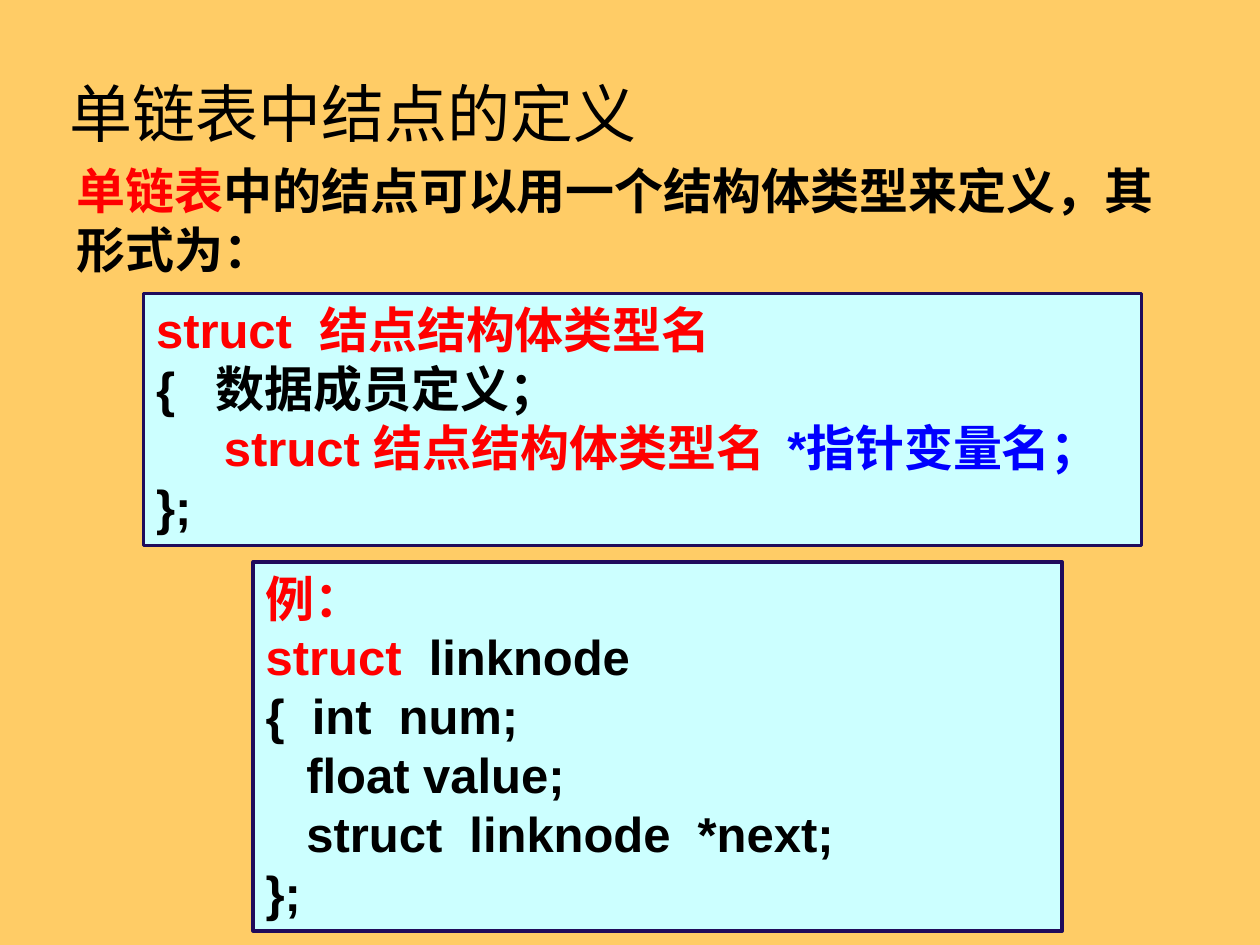
from lxml import etree
from pptx import Presentation
from pptx.dml.color import RGBColor
from pptx.enum.shapes import MSO_SHAPE
from pptx.enum.text import MSO_ANCHOR, PP_ALIGN
from pptx.oxml.ns import qn
from pptx.util import Inches, Pt

RECTANGLE = MSO_SHAPE.RECTANGLE
TOP, MIDDLE = MSO_ANCHOR.TOP, MSO_ANCHOR.MIDDLE
LEFT = PP_ALIGN.LEFT

THEME = {
    "background": "FFCC66", "panel": "CCFFFF", "border": "200B5B",
    "black": "000000", "red": "FF0000", "blue": "0000FF",
    "title_size": 36, "body_size": 28, "border_width": 2,
    "latin": "Arial", "chinese": "Noto Sans CJK SC",
}

# Each line is a list of (text, colour) parts.
TITLE = [[("单链表中结点的定义", "black")]]
INTRODUCTION = [[("单链表", "red"),
                 ("中的结点可以用一个结构体类型来定义，其形式为：", "black")]]
GENERAL_FORM = [
    [("struct  结点结构体类型名", "red")],
    [("{   数据成员定义；", "black")],
    [("     struct 结点结构体类型名  ", "red"), ("*指针变量名；", "blue")],
    [("};", "black")],
]
EXAMPLE = [
    [("例：", "red")],
    [("struct  ", "red"), ("linknode", "black")],
    [("{  int  num;", "black")],
    [("   float value;", "black")],
    [("   struct  linknode  *next;", "black")],
    [("};", "black")],
]

# Left, top, width, height in inches
TITLE_BOX = (0.45, 0.53, 9, 0.72)
INTRODUCTION_BOX = (0.51, 1.23, 9.08, 1.03)
CODE_PANELS = [
    ((1.14, 2.33, 7.92, 2), GENERAL_FORM),
    ((2.01, 4.46, 6.42, 2.93), EXAMPLE),
]


def color(name):
    return RGBColor.from_string(THEME[name])


def write_lines(shape, lines, size="body_size", font="latin", bold=True, anchor=MIDDLE):
    frame = shape.text_frame
    frame.word_wrap = True
    frame.vertical_anchor = anchor
    for index, parts in enumerate(lines):
        paragraph = frame.add_paragraph() if index else frame.paragraphs[0]
        paragraph.alignment = LEFT
        for text, color_name in parts:
            run = paragraph.add_run()
            run.text = text
            run.font.size = Pt(THEME[size])
            run.font.bold = bold
            run.font.color.rgb = color(color_name)
            run.font.name = THEME[font]
            east_asian = etree.SubElement(run.font._element, qn("a:ea"))
            east_asian.set("typeface", THEME["chinese"])


def add_code_panel(slide, box, lines):
    panel = slide.shapes.add_shape(RECTANGLE, *map(Inches, box))
    panel.shadow.inherit = False
    panel.fill.solid()
    panel.fill.fore_color.rgb = color("panel")
    panel.line.color.rgb = color("border")
    panel.line.width = Pt(THEME["border_width"])
    write_lines(panel, lines, anchor=TOP)


def main():
    presentation = Presentation()
    presentation.slide_width, presentation.slide_height = Inches(10), Inches(7.5)
    slide = presentation.slides.add_slide(presentation.slide_layouts[5])
    slide.background.fill.solid()
    slide.background.fill.fore_color.rgb = color("background")

    title = slide.shapes.title
    title.left, title.top, title.width, title.height = map(Inches, TITLE_BOX)
    write_lines(title, TITLE, size="title_size", font="chinese", bold=False)

    introduction = slide.shapes.add_textbox(*map(Inches, INTRODUCTION_BOX))
    write_lines(introduction, INTRODUCTION, font="chinese")

    for box, lines in CODE_PANELS:
        add_code_panel(slide, box, lines)

    presentation.save("out.pptx")


if __name__ == "__main__":
    main()
